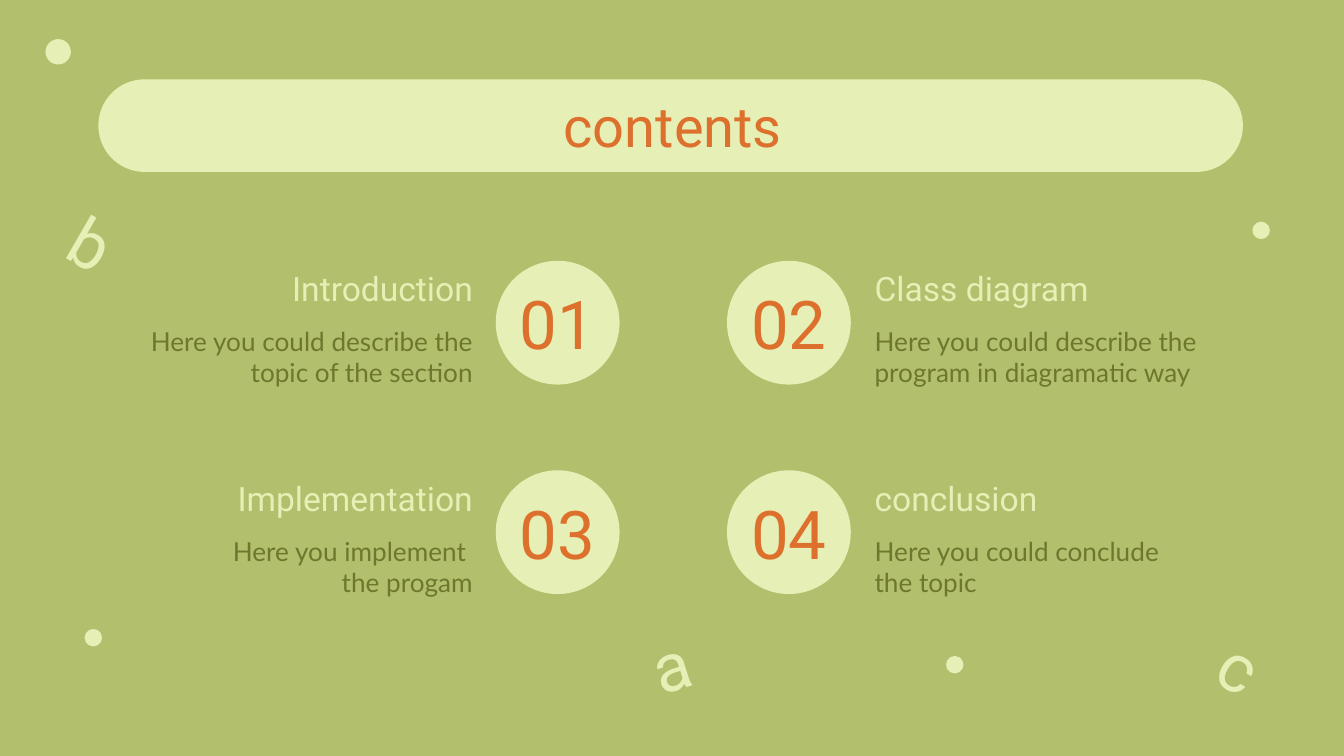
from dataclasses import dataclass

from pptx import Presentation
from pptx.dml.color import RGBColor
from pptx.enum.shapes import MSO_SHAPE
from pptx.enum.text import MSO_ANCHOR, MSO_AUTO_SIZE, PP_ALIGN
from pptx.util import Cm, Pt


@dataclass(frozen=True)
class Theme:
    background: RGBColor = RGBColor.from_string("B2BF6D")
    pale: RGBColor = RGBColor.from_string("E6EFB5")
    accent: RGBColor = RGBColor.from_string("DD702D")
    body: RGBColor = RGBColor.from_string("6E772D")
    display_font: str = "Roboto"
    body_font: str = "Lato"
    title_size: int = 30
    number_size: int = 36
    heading_size: int = 18
    body_size: int = 14


THEME = Theme()

CIRCLE = 2.34
TEXT_WIDTH = 6.65
HEADING_HEIGHT = 1.04
BODY_HEIGHT = 1.55
TOP, ROW_STEP = 4.93, 3.96
# circle left, text left, text alignment
COLUMNS = [(9.37, 2.54, PP_ALIGN.RIGHT), (13.74, 16.28, PP_ALIGN.LEFT)]

SECTIONS = [
    ("Introduction", "Here you could describe the topic of the section"),
    ("Class diagram", "Here you could describe the program in diagramatic way"),
    ("Implementation", "Here you implement \nthe progam"),
    ("conclusion", "Here you could conclude the topic"),
]
# text, left, top, rotation
LETTERS = [("a", 12.09, 11.81, 342.6), ("b", 1.14, 3.84, 29.9), ("c", 22.86, 11.86, 29.9)]
# left, top, diameter
DOTS = [(0.86, 0.74, 0.48), (1.6, 11.89, 0.33), (17.88, 12.4, 0.33), (23.67, 4.19, 0.33)]


def write(sp, text, size, color, font=THEME.display_font, align=PP_ALIGN.LEFT, inset=0.25):
    tf = sp.text_frame
    tf.text = text
    tf.word_wrap = True
    tf.auto_size = MSO_AUTO_SIZE.NONE
    tf.vertical_anchor = MSO_ANCHOR.MIDDLE
    tf.margin_left = tf.margin_right = tf.margin_top = tf.margin_bottom = Cm(inset)
    for p in tf.paragraphs:
        p.alignment = align
        for r in p.runs:
            r.font.name = font
            r.font.size = Pt(size)
            r.font.color.rgb = color


def add_pale_shape(s, kind, left, top, width, height):
    sp = s.shapes.add_shape(kind, Cm(left), Cm(top), Cm(width), Cm(height))
    sp.shadow.inherit = False
    sp.fill.solid()
    sp.fill.fore_color.rgb = THEME.pale
    sp.line.fill.background()
    return sp


def add_text(s, left, top, width, height, *args, **kwargs):
    sp = s.shapes.add_textbox(Cm(left), Cm(top), Cm(width), Cm(height))
    write(sp, *args, **kwargs)
    return sp


def add_title(s, text):
    bar = add_pale_shape(s, MSO_SHAPE.ROUNDED_RECTANGLE, 1.86, 1.5, 21.63, 1.75)
    bar.adjustments[0] = 0.5
    title = s.shapes.title
    title.left, title.top, title.width, title.height = Cm(1.9), Cm(1.47), Cm(21.63), Cm(1.8)
    write(title, text, THEME.title_size, THEME.accent, align=PP_ALIGN.CENTER)
    bar.element.addnext(title.element)  # bring the title in front of its bar


def add_section(s, index, heading, body):
    row, column = divmod(index, len(COLUMNS))
    circle_left, text_left, align = COLUMNS[column]
    top = TOP + row * ROW_STEP
    circle = add_pale_shape(s, MSO_SHAPE.OVAL, circle_left, top, CIRCLE, CIRCLE)
    write(circle, f"{index + 1:02d}", THEME.number_size, THEME.accent,
          align=PP_ALIGN.CENTER, inset=0)
    add_text(s, text_left, top, TEXT_WIDTH, HEADING_HEIGHT,
             heading, THEME.heading_size, THEME.pale, align=align)
    add_text(s, text_left, top + HEADING_HEIGHT, TEXT_WIDTH, BODY_HEIGHT,
             body, THEME.body_size, THEME.body, font=THEME.body_font, align=align)


def add_decoration(s):
    for text, left, top, rotation in LETTERS:
        sp = add_text(s, left, top, 1.24, 1.5, text, THEME.number_size, THEME.pale)
        sp.rotation = rotation
    for left, top, diameter in DOTS:
        add_pale_shape(s, MSO_SHAPE.OVAL, left, top, diameter, diameter)


def main():
    prs = Presentation()
    prs.slide_width, prs.slide_height = Cm(25.4), Cm(14.29)
    s = prs.slides.add_slide(prs.slide_layouts[5])
    s.background.fill.solid()
    s.background.fill.fore_color.rgb = THEME.background
    add_title(s, "contents")
    for index, (heading, body) in enumerate(SECTIONS):
        add_section(s, index, heading, body)
    add_decoration(s)
    prs.save("out.pptx")


if __name__ == "__main__":
    main()
